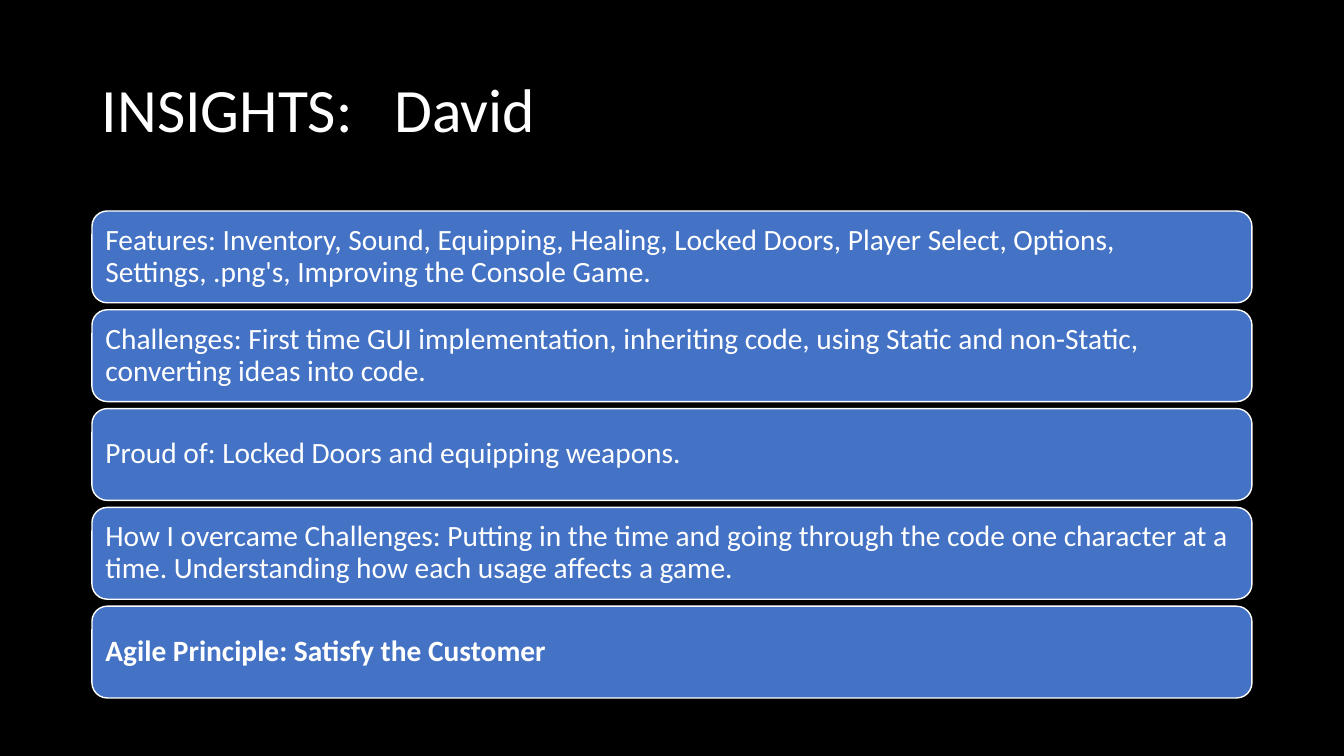
from pptx import Presentation
from pptx.dml.color import RGBColor
from pptx.enum import shapes, text
from pptx.util import Pt

PAGE_WIDTH, PAGE_HEIGHT = 1344, 756
SCALE = 12192000 / PAGE_WIDTH  # EMU per px
COLOURS = {"background": "000000", "card": "4472C4", "text": "FFFFFF"}
FONT = "Calibri"

TITLE = "INSIGHTS:   David"
INSIGHTS = [
    "Features: Inventory, Sound, Equipping, Healing, Locked Doors, Player Select, "
    "Options, Settings, .png's, Improving the Console Game.",
    "Challenges: First time GUI implementation, inheriting code, "
    "using Static and non-Static, converting ideas into code.",
    "Proud of: Locked Doors and equipping weapons.",
    "How I overcame Challenges: Putting in the time and going through the code "
    "one character at a time. Understanding how each usage affects a game.",
    "Agile Principle: Satisfy the Customer",
]


def px(length):
    return round(length * SCALE)


def colour(name):
    return RGBColor.from_string(COLOURS[name])


def write(shape, words, size, bold=False, inset=9):
    frame = shape.text_frame
    frame.word_wrap = True
    frame.vertical_anchor = text.MSO_ANCHOR.MIDDLE
    frame.margin_left = frame.margin_right = px(inset)
    frame.margin_top = frame.margin_bottom = px(inset)
    para = frame.paragraphs[0]
    para.alignment = text.PP_ALIGN.LEFT
    para.line_spacing = 0.9
    span = para.add_run()
    span.text = words
    span.font.name = FONT
    span.font.size = Pt(size)
    span.font.bold = bold
    span.font.color.rgb = colour("text")


def add_title(page, left, top, width, height):
    box = page.shapes.add_textbox(px(left), px(top), px(width), px(height))
    write(box, TITLE, size=44, inset=10)


def add_cards(page, left, top, width, height, gap=7):
    card_height = (height - gap * (len(INSIGHTS) - 1)) / len(INSIGHTS)
    for index, insight in enumerate(INSIGHTS):
        card_top = top + index * (card_height + gap)
        card = page.shapes.add_shape(
            shapes.MSO_SHAPE.ROUNDED_RECTANGLE,
            px(left), px(card_top), px(width), px(card_height))
        card.shadow.inherit = False
        card.fill.solid()
        card.fill.fore_color.rgb = colour("card")
        card.line.color.rgb = colour("text")
        card.line.width = Pt(1)
        # The closing principle stands out in bold
        write(card, insight, size=21, bold=insight.startswith("Agile"))


def build_insights_slide(deck):
    page = deck.slides.add_slide(deck.slide_layouts[6])
    page.background.fill.solid()
    page.background.fill.fore_color.rgb = colour("background")
    margin = 92
    width = PAGE_WIDTH - 2 * margin
    add_title(page, margin, 40, width, 146)
    add_cards(page, margin, 211, width, 487)


def main():
    deck = Presentation()
    deck.slide_width, deck.slide_height = px(PAGE_WIDTH), px(PAGE_HEIGHT)
    build_insights_slide(deck)
    deck.save("out.pptx")


if __name__ == "__main__":
    main()
